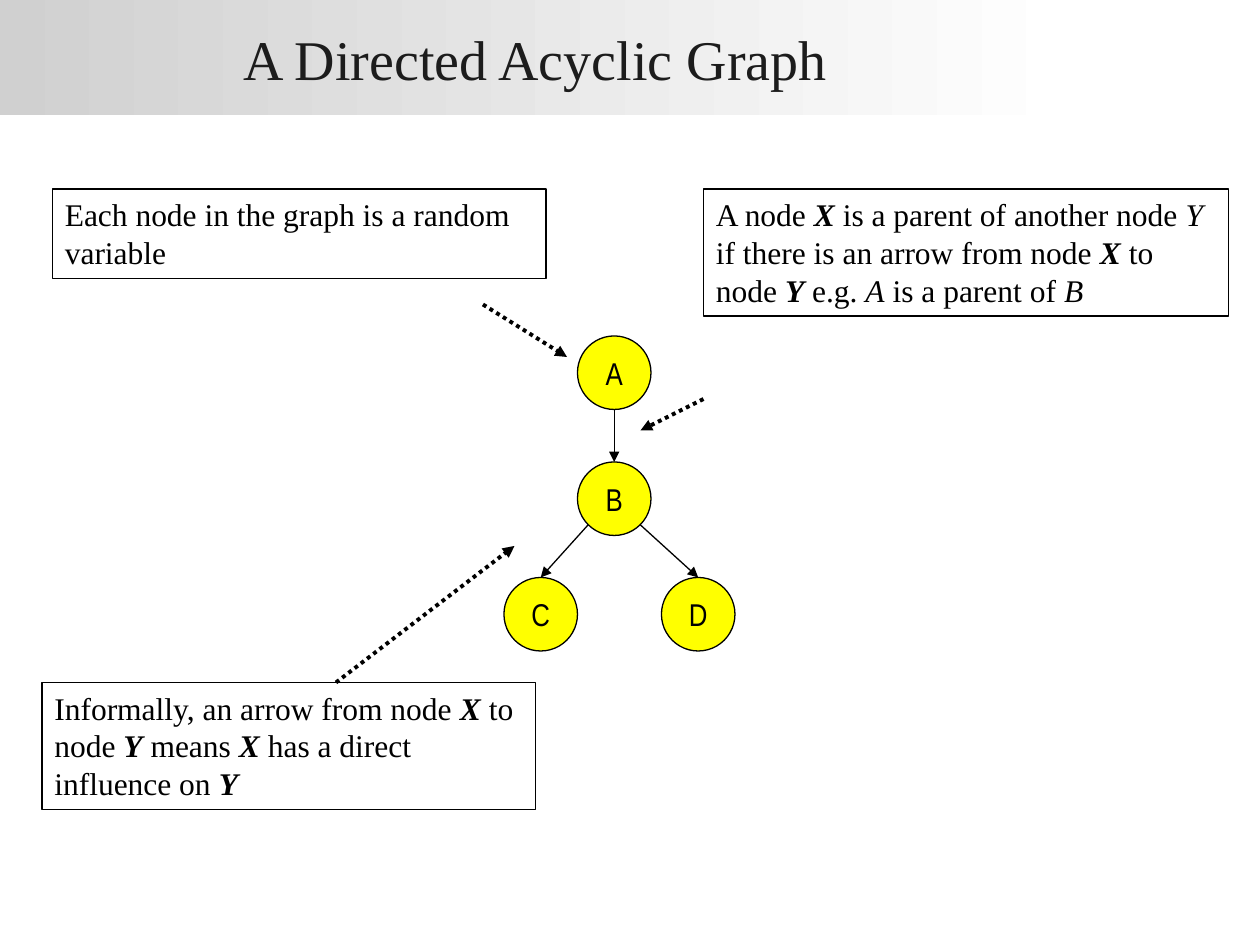
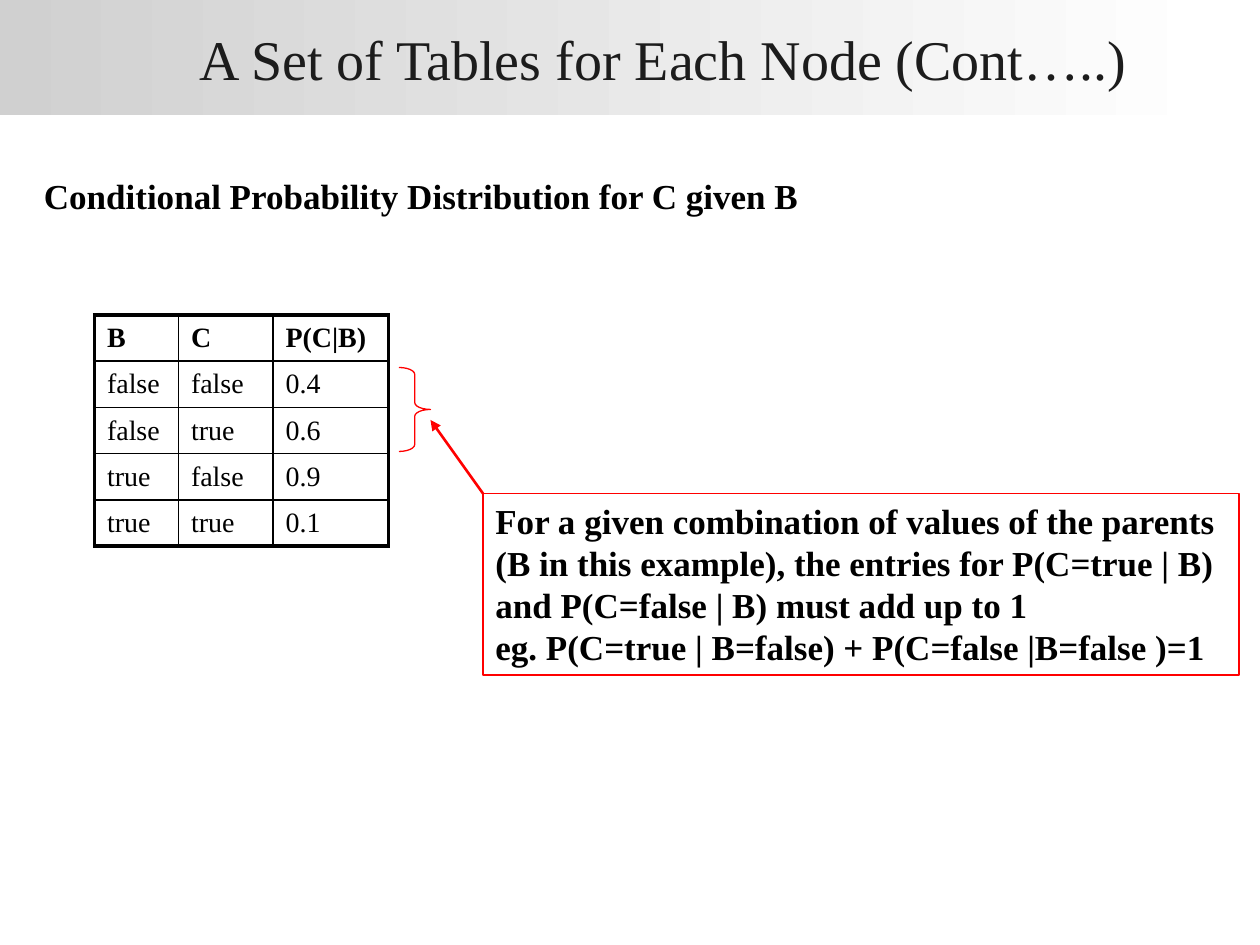
from lxml import etree
from pptx import Presentation
from pptx.dml.color import RGBColor
from pptx.enum import dml, shapes, text
from pptx.oxml import ns
from pptx.util import Inches, Pt

# ---- Theme: the slide is a grid of 120 by 90 cells, 12 cells to the inch
THEME = {
    "black": "000000", "red": "FF0000", "node": "FFFF00",
    "ink": "1C1C1C", "band": ("D0D0D0", "FFFFFF"),
    "serif": "Times New Roman", "narrow": "Arial Narrow",
    "title": 32, "big": 20, "body": 18, "cell": 16,
    "thin": 0.75, "rule": 1, "mid": 1.5, "thick": 2.25,
}
COLS, ROWS, UNIT = 120, 90, 1 / 12

# ---- Content: *bold italic*, _italic_; places are in grid cells
GRAPH = {
    "title": "A Directed Acyclic Graph", "band": 102, "shift": 0,
    "size": 7,
    "nodes": {"A": (55, 32), "B": (55, 44), "C": (48, 55), "D": (63, 55)},
    "edges": [("A", "B", 0), ("B", "C", -1), ("B", "D", 1)],
    "notes": [
        ((5, 18, 47, 8.5), "Each node in the graph is a random variable"),
        ((67, 18, 50, 12.1),
         "A node *X* is a parent of another node _Y_ if there is an arrow "
         "from node *X* to node *Y* e.g. _A_ is a parent of _B_"),
        ((4, 65, 47, 12.1),
         "Informally, an arrow from node *X* to node *Y* means *X* "
         "has a direct influence on *Y*"),
    ],
    "hints": [((46, 29), (54, 34)), ((67, 38), (61, 41)), ((32, 65), (49, 52))],
}
TABLES = {
    "title": "A Set of Tables for Each Node (Cont…..)", "band": 116, "shift": 10.4,
    "head": ((3, 16, 82, 5.3), "Conditional Probability Distribution for C given B"),
    "at": (9, 30), "cols": (8, 9, 11), "row": 4.4,
    "rows": [
        ("B", "C", "P(C|B)"),
        ("false", "false", "0.4"),
        ("false", "true", "0.6"),
        ("true", "false", "0.9"),
        ("true", "true", "0.1"),
    ],
    "brace": (38, 35, 3, 8),
    "note": ((46, 47, 72, 17.3), [
        "For a given combination of values of the parents (B in this example), "
        "the entries for P(C=true | B) and P(C=false | B) must add up to 1",
        "eg. P(C=true | B=false) + P(C=false |B=false )=1",
    ]),
    "arrow": ((46, 47), (41, 40)),
}


# ---- Helpers
def grid(*cells):
    return [Inches(c * UNIT) for c in cells]


def rgb(name):
    return RGBColor.from_string(THEME.get(name, name))


def put(obj, **vals):
    for key, val in vals.items():
        setattr(obj, key, val)


def write(frame, paras, size="body", face="serif", color="black",
          bold=False, align=text.PP_ALIGN.LEFT, **vals):
    """Fill a text frame, turning marked parts into styled runs."""
    put(frame, **{"word_wrap": True, **vals})
    for n, line in enumerate(paras):
        para = frame.add_paragraph() if n else frame.paragraphs[0]
        para.alignment = align
        for i, part in enumerate(line.split("*")):
            for j, bit in enumerate(part.split("_")):
                if not bit:
                    continue
                run = para.add_run()
                run.text = bit
                put(run.font, size=Pt(THEME[size]), name=THEME[face],
                    bold=bold or i % 2 == 1, italic=(i + j) % 2 == 1)
                run.font.color.rgb = rgb(color)


def shape(slide, kind, box, fill=None, line=None):
    new = slide.shapes.add_shape(kind, *grid(*box))
    new.shadow.inherit = False
    if fill:
        new.fill.solid()
        new.fill.fore_color.rgb = rgb(fill)
    else:
        new.fill.background()
    if line:
        new.line.color.rgb = rgb(line)
        new.line.width = Pt(THEME["thin"])
    else:
        new.line.fill.background()
    return new


def arrow(slide, start, end, color="black", width="thin", dash=None):
    new = slide.shapes.add_connector(shapes.MSO_CONNECTOR.STRAIGHT,
                                     *grid(*start, *end))
    new.line.color.rgb = rgb(color)
    put(new.line, width=Pt(THEME[width]), dash_style=dash)
    etree.SubElement(new.line._get_or_add_ln(), ns.qn("a:tailEnd"), type="triangle")
    etree.SubElement(new._element.spPr, ns.qn("a:effectLst"))


def start(deck, data):
    """Add a slide with its gradient title band."""
    slide = deck.slides.add_slide(deck.slide_layouts[6])
    band = shape(slide, shapes.MSO_SHAPE.RECTANGLE, (0, 0, data["band"], 11))
    band.fill.gradient()
    band.fill.gradient_angle = 0
    for stop, tone in zip(band.fill.gradient_stops, THEME["band"]):
        stop.color.rgb = rgb(tone)
    write(band.text_frame, [data["title"]], "title", color="ink",
          align=text.PP_ALIGN.CENTER, vertical_anchor=text.MSO_ANCHOR.MIDDLE,
          margin_left=Inches(0.02 + data["shift"] * UNIT), margin_right=Inches(0.02),
          margin_top=Inches(0.01), margin_bottom=Inches(0.01))
    return slide


def note(slide, box, paras, line="black", **style):
    new = shape(slide, shapes.MSO_SHAPE.RECTANGLE, box, line=line)
    write(new.text_frame, paras, vertical_anchor=text.MSO_ANCHOR.TOP, **style)


def edge(cell, side, width):
    ln = etree.SubElement(cell._tc.get_or_add_tcPr(), ns.qn("a:ln" + side),
                          w=str(Pt(THEME[width])))
    fill = etree.SubElement(ln, ns.qn("a:solidFill"))
    etree.SubElement(fill, ns.qn("a:srgbClr"), val=THEME["black"])


# ---- Slides
def draw_graph(deck, data):
    slide = start(deck, data)
    size, nodes = data["size"], data["nodes"]
    half = size / 2
    for name, (x, y) in nodes.items():
        disc = shape(slide, shapes.MSO_SHAPE.OVAL, (x, y, size, size), "node", "black")
        write(disc.text_frame, [name], face="narrow", align=text.PP_ALIGN.CENTER,
              word_wrap=False, vertical_anchor=text.MSO_ANCHOR.MIDDLE)
    # Edges leave the rim straight down or at 45 degrees
    for src, dst, side in data["edges"]:
        (x, y), (tx, ty) = nodes[src], nodes[dst]
        drop = half * (0.71 if side else 1)
        arrow(slide, (x + half + side * drop, y + half + drop), (tx + half, ty))
    for box, words in data["notes"]:
        note(slide, box, [words])
    for src, dst in data["hints"]:
        arrow(slide, src, dst, width="thick", dash=dml.MSO_LINE.ROUND_DOT)


def draw_table(deck, data):
    slide = start(deck, data)
    box, words = data["head"]
    write(slide.shapes.add_textbox(*grid(*box)).text_frame, [words], "big", bold=True)
    brace = shape(slide, shapes.MSO_SHAPE.RIGHT_BRACE, data["brace"], line="red")
    brace.adjustments[0] = 0.22

    # Probability table: heavy outer frame, light inner rules
    rows, cols = data["rows"], data["cols"]
    last, end = len(rows) - 1, len(cols) - 1
    table = slide.shapes.add_table(
        len(rows), len(cols),
        *grid(*data["at"], sum(cols), data["row"] * len(rows))).table
    put(table, first_row=False, horz_banding=False)
    for col, wide in zip(table.columns, cols):
        col.width = grid(wide)[0]
    for r, row in enumerate(rows):
        for c, words in enumerate(row):
            cell = table.cell(r, c)
            write(cell.text_frame, [words], "cell", bold=r == 0)
            outer = {"L": c == 0, "R": c == end, "T": r == 0, "B": r == last}
            for side, heavy in outer.items():
                edge(cell, side, "thick" if heavy else "rule")
            cell.fill.background()
            cell.vertical_anchor = text.MSO_ANCHOR.MIDDLE

    note(slide, *data["note"], line="red", size="big", bold=True)
    arrow(slide, *data["arrow"], color="red", width="mid")


def main():
    deck = Presentation()
    deck.slide_width, deck.slide_height = grid(COLS, ROWS)
    draw_graph(deck, GRAPH)
    draw_table(deck, TABLES)
    deck.save("out.pptx")


if __name__ == "__main__":
    main()
